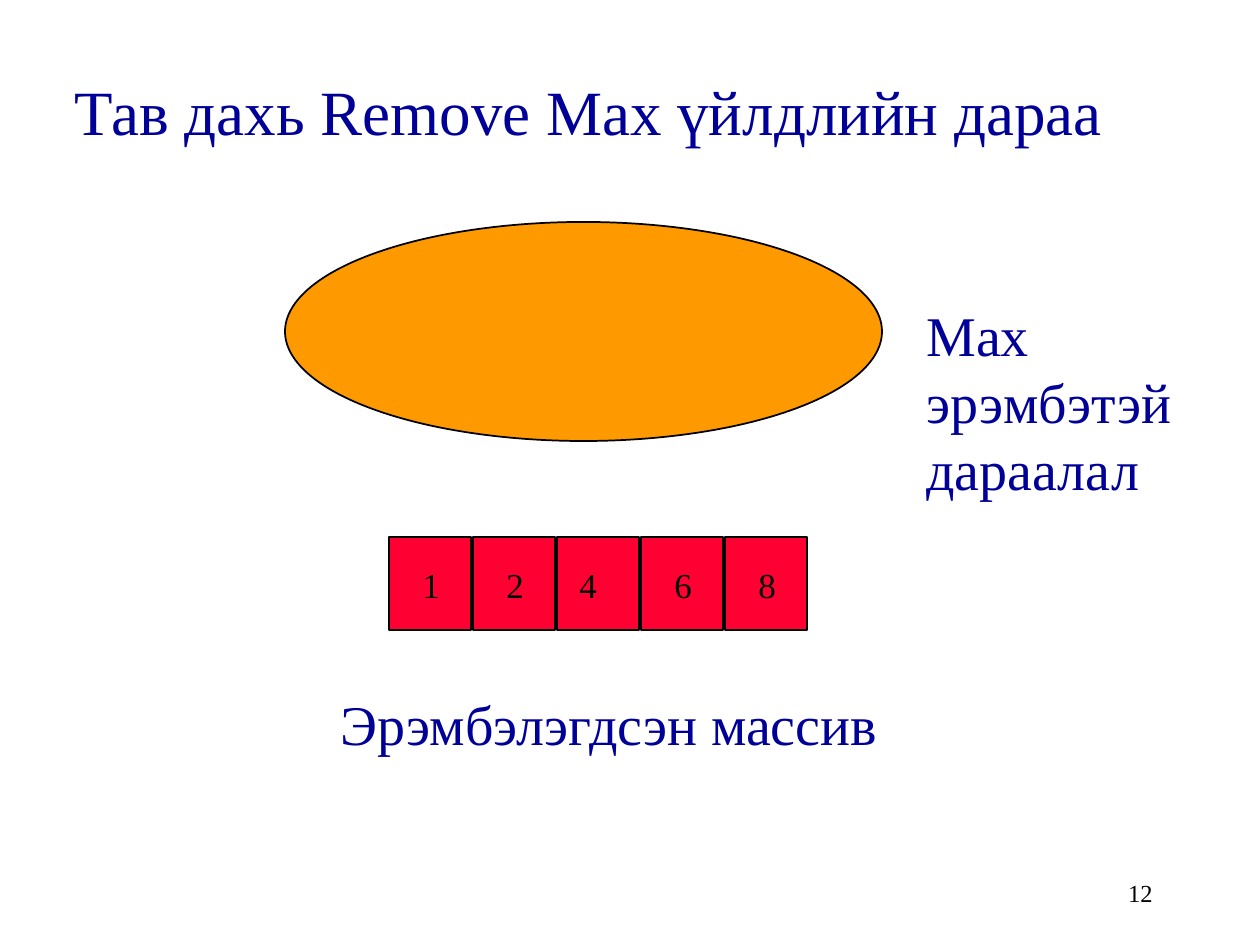
from pptx import Presentation
from pptx.dml.color import RGBColor
from pptx.enum.shapes import MSO_SHAPE
from pptx.enum.text import MSO_ANCHOR, PP_ALIGN
from pptx.util import Emu, Pt

LEFT, CENTER, RIGHT = PP_ALIGN.LEFT, PP_ALIGN.CENTER, PP_ALIGN.RIGHT
TOP, MIDDLE = MSO_ANCHOR.TOP, MSO_ANCHOR.MIDDLE
OVAL, RECTANGLE = MSO_SHAPE.OVAL, MSO_SHAPE.RECTANGLE

NAVY, BLACK, ORANGE, RED = "000099", "000000", "FF9900", "FF0033"
FONT = "Times New Roman"

# text, box (left, top, width, height), size, colour, alignment, anchor
TEXTS = [
    ("Тав дахь Remove Max үйлдлийн дараа", (53, 32, 1071, 157), 36, NAVY, CENTER, MIDDLE),
    ("Эрэмбэлэгдсэн массив", (168, 683, 882, 242), 32, NAVY, CENTER, TOP),
    ("Max эрэмбэтэй дараалал", (914, 294, 315, 214), 32, NAVY, LEFT, TOP),
    ("12", (903, 861, 262, 63), 14, BLACK, RIGHT, MIDDLE),
]
QUEUE_BOX = (285, 222, 597, 219)

# value, distance of its label from the left of the cell
SORTED_ARRAY = [("1", 21), ("2", 21), ("4", 10), ("6", 21), ("8", 21)]
ARRAY_LEFT, ARRAY_TOP, CELL_STEP = 389, 537, 84
CELL_WIDTH, CELL_HEIGHT = 82, 93
LABEL_TOP, LABEL_HEIGHT = 557, 54


def px(length):
    return Emu(round(length * 914400 / 126))


def color(value):
    return RGBColor.from_string(value)


def add_outlined_shape(slide, kind, box, fill):
    shape = slide.shapes.add_shape(kind, *map(px, box))
    shape.shadow.inherit = False
    shape.fill.solid()
    shape.fill.fore_color.rgb = color(fill)
    shape.line.color.rgb = color(BLACK)
    shape.line.width = Pt(1)


def add_text(slide, text, box, size, text_color, alignment=LEFT, anchor=TOP):
    frame = slide.shapes.add_textbox(*map(px, box)).text_frame
    frame.word_wrap = True
    frame.vertical_anchor = anchor
    paragraph = frame.paragraphs[0]
    paragraph.alignment = alignment
    run = paragraph.add_run()
    run.text = text
    for name, value in {"name": FONT, "size": Pt(size)}.items():
        setattr(run.font, name, value)
    run.font.color.rgb = color(text_color)


def add_sorted_array(slide):
    lefts = [ARRAY_LEFT + index * CELL_STEP for index in range(len(SORTED_ARRAY))]
    for left in lefts:
        add_outlined_shape(slide, RECTANGLE, (left, ARRAY_TOP, CELL_WIDTH, CELL_HEIGHT), RED)
    for left, (value, offset) in zip(lefts, SORTED_ARRAY):
        add_text(slide, value, (left + offset, LABEL_TOP, CELL_STEP, LABEL_HEIGHT), 20, BLACK)


def main():
    presentation = Presentation()
    presentation.slide_width, presentation.slide_height = px(1260), px(945)
    slide = presentation.slides.add_slide(presentation.slide_layouts[6])
    add_outlined_shape(slide, OVAL, QUEUE_BOX, ORANGE)
    add_sorted_array(slide)
    for text in TEXTS:
        add_text(slide, *text)
    presentation.save("out.pptx")


if __name__ == "__main__":
    main()
